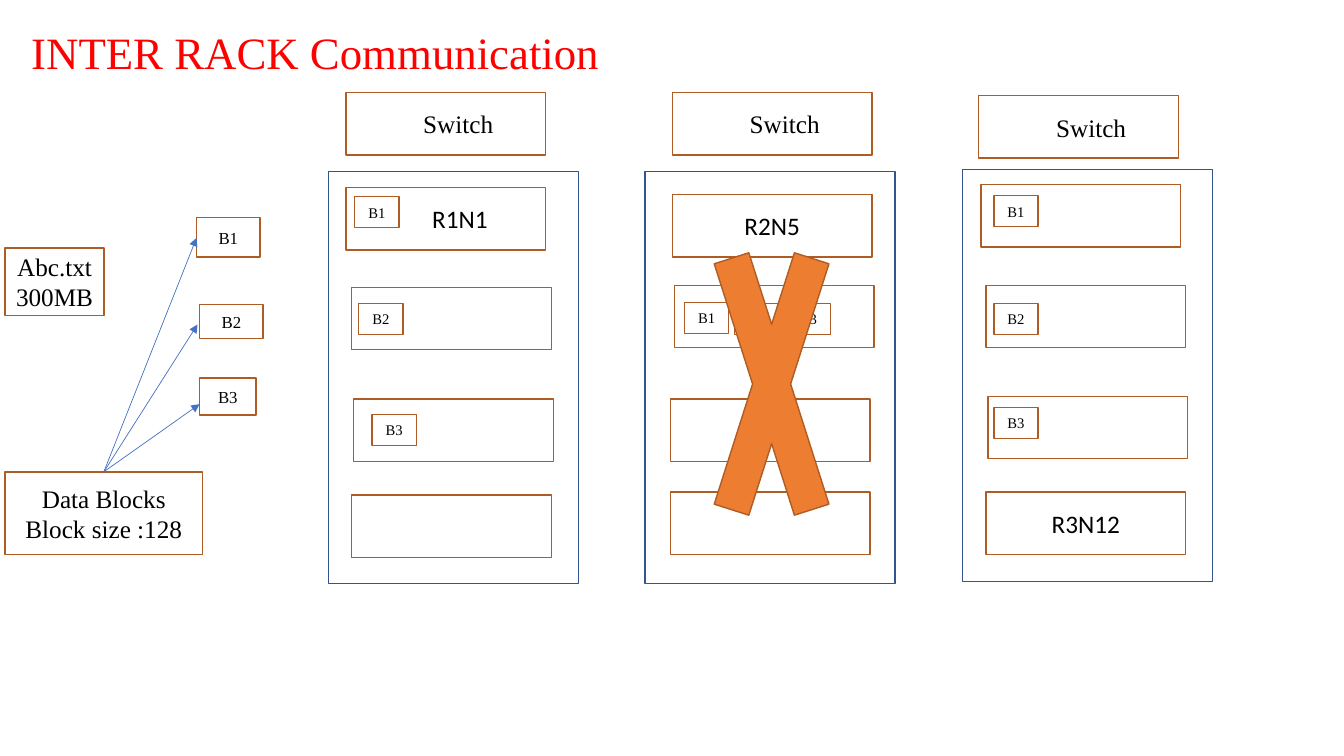
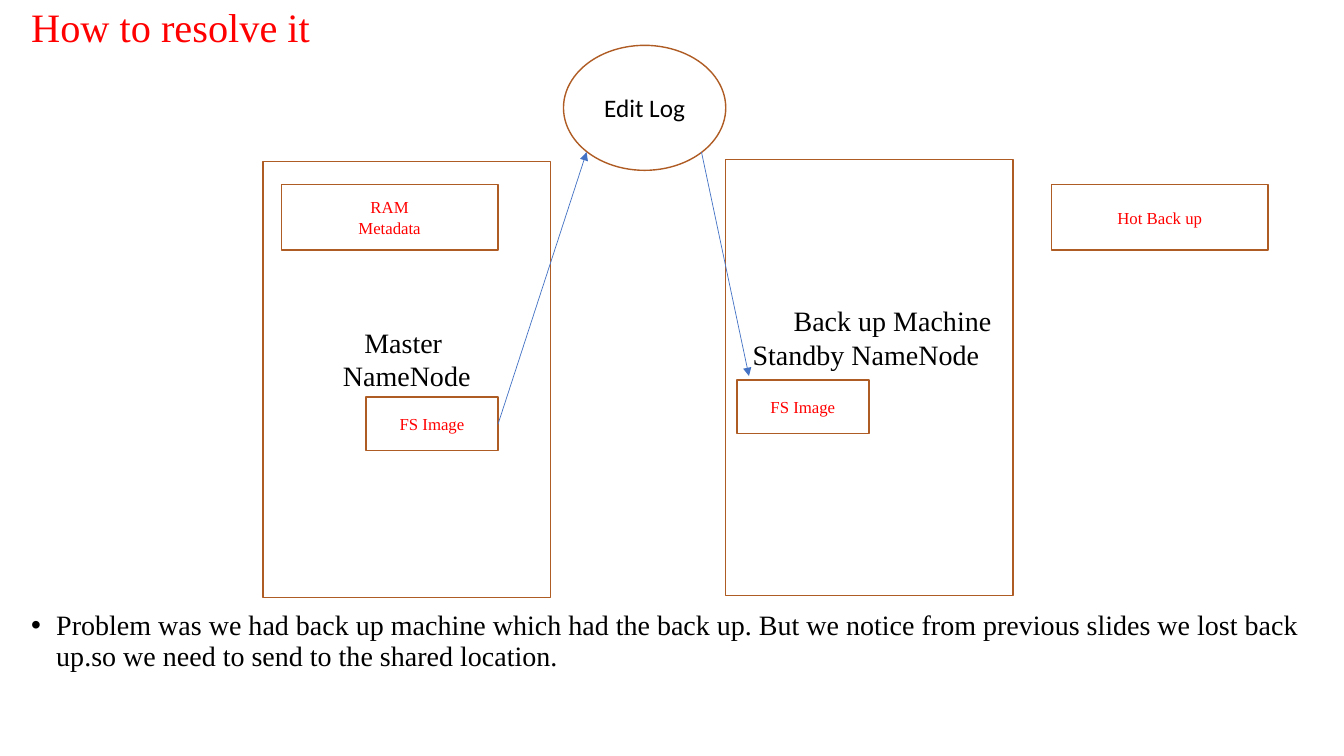
from lxml.etree import SubElement
from pptx import Presentation
from pptx.dml.color import RGBColor
from pptx.enum.shapes import MSO_CONNECTOR, MSO_SHAPE
from pptx.enum.text import MSO_ANCHOR, MSO_AUTO_SIZE, PP_ALIGN
from pptx.oxml.ns import qn
from pptx.util import Pt

COLOURS = {
    "paper": "FFFFFF", "text": "000000", "accent": "FF0000", "rack": "325491",
    "border": "AF5C24", "arrow": "4472C4", "cross": "ED7D31",
}
SERIF, SANS = "Times New Roman", "Calibri"
NODE_SIZE = (142.6, 44.6)
BLOCK_SIZE = (31.7, 22.3)


def colour(name):
    return RGBColor.from_string(COLOURS[name])


class Slides:
    def __init__(self):
        self.deck = Presentation()
        self.deck.slide_width, self.deck.slide_height = Pt(960), Pt(540)
        self.page = None

    def add_lines(self, frame, lines, size, ink="text", font=SERIF,
                  align=PP_ALIGN.CENTER, spacing=None, indent=0):
        """Fill a frame; a line is a string or a (string, indent) pair."""
        frame.word_wrap = True
        frame.auto_size = MSO_AUTO_SIZE.NONE
        for number, line in enumerate(lines):
            words, shift = line if isinstance(line, tuple) else (line, indent)
            para = frame.paragraphs[0] if number == 0 else frame.add_paragraph()
            for name, value in {"alignment": align, "line_spacing": spacing}.items():
                setattr(para, name, value)
            if shift:
                para._p.get_or_add_pPr().set("marL", str(Pt(shift)))
            span = para.add_run()
            span.text = words
            for name, value in {"size": Pt(size), "name": font}.items():
                setattr(span.font, name, value)
            span.font.color.rgb = colour(ink)

    def new_page(self, title, top, height, size):
        self.page = self.deck.slides.add_slide(self.deck.slide_layouts[5])
        holder = self.page.shapes.title
        place = {"left": 15.1, "top": top, "width": 924.5, "height": height}
        for name, value in place.items():
            setattr(holder, name, Pt(value))
        holder.text_frame.vertical_anchor = MSO_ANCHOR.MIDDLE
        self.add_lines(holder.text_frame, [title], size, "accent",
                       align=PP_ALIGN.LEFT, spacing=0.9)

    def box(self, left, top, width, height, lines=(), size=18, kind=MSO_SHAPE.RECTANGLE,
            fill="paper", border="border", text_top=None, **text_format):
        """Draw a shape; text_top puts its text that far below the top edge."""
        shape = self.page.shapes.add_shape(
            kind, Pt(left), Pt(top), Pt(width), Pt(height))
        shape.shadow.inherit = False
        shape.fill.solid()
        shape.fill.fore_color.rgb = colour(fill)
        shape.line.color.rgb = colour(border)
        shape.line.width = Pt(1)
        frame = shape.text_frame
        frame.vertical_anchor = MSO_ANCHOR.MIDDLE
        if text_top is not None:
            frame.vertical_anchor = MSO_ANCHOR.TOP
            frame.margin_top = Pt(text_top)
        self.add_lines(frame, lines, size, **text_format)

    def arrow(self, start, end):
        line = self.page.shapes.add_connector(
            MSO_CONNECTOR.STRAIGHT, *(Pt(value) for value in start + end))
        line.line.color.rgb = colour("arrow")
        line.line.width = Pt(0.5)
        properties = line._element.spPr
        SubElement(properties.find(qn("a:ln")), qn("a:tailEnd"), type="triangle")
        SubElement(properties, qn("a:effectLst"))

    def bullet(self, left, top, width, height, words):
        frame = self.page.shapes.add_textbox(
            Pt(left), Pt(top), Pt(width), Pt(height)).text_frame
        properties = frame.paragraphs[0]._p.get_or_add_pPr()
        properties.set("marL", str(Pt(18)))
        properties.set("indent", str(-Pt(18)))
        self.add_lines(frame, [words], 20, align=PP_ALIGN.LEFT, spacing=0.9)
        SubElement(properties, qn("a:buFont"), typeface="Arial")
        SubElement(properties, qn("a:buChar"), char="•")

    def rack(self, left, top, switch, nodes, blocks):
        """Draw a rack; nodes are (left, top, label, indent), blocks (left, top, label)."""
        self.box(left, top, 178.6, 294.5, border="rack")
        for x, y, label, indent in nodes:
            self.box(x, y, *NODE_SIZE, [label] if label else [], font=SANS, indent=indent)
        for x, y, label in blocks:
            self.box(x, y, *BLOCK_SIZE, [label] if label else [], size=10.5)
        self.box(*switch, *NODE_SIZE, ["Switch "], indent=22.5)


def inter_rack(slides):
    slides.new_page("INTER RACK Communication", 10.1, 59, 32)
    slides.box(3.6, 177.1, 70.8, 48.2, ["Abc.txt", "300MB"])
    slides.box(3.6, 337, 141.1, 59, ["Data Blocks", "Block size :128"])
    file_blocks = [
        ("B1", (140.4, 155.5, 45.4, 28.1), (140.4, 169.9)),
        ("B2", (142.6, 217.4, 45.4, 24.5), (141.1, 231.8)),
        ("B3", (142.6, 270, 40.3, 26.6), (142.6, 288.7)),
    ]
    for label, place, target in file_blocks:
        slides.box(*place, [label], size=12)
        slides.arrow((74.2, 337), target)

    slides.rack(
        234.7, 122.4, (247, 66.2),
        [(247, 133.9, "R1N1", 20.3), (251.3, 205.2, "", 0),
         (252.7, 285.1, "", 0), (251.3, 353.5, "", 0)],
        [(253.4, 140.4, "B1"), (256.3, 216.7, "B2"), (265.7, 295.9, "B3")])
    slides.rack(
        460.8, 122.4, (480.2, 66.2),
        [(480.2, 139, "R2N5", 0), (481.7, 203.8, "", 0),
         (478.8, 285.1, "", 0), (478.8, 351.4, "", 0)],
        [(488.9, 216, "B1"), (524.9, 216.7, ""), (561.6, 216.7, "B3")])
    slides.rack(
        687.6, 121, (699.1, 68.4),
        [(700.6, 131.8, "", 0), (704.2, 203.8, "", 0),
         (705.6, 283, "", 0), (704.2, 351.4, "R3N12", 0)],
        [(709.9, 139.7, "B1"), (709.9, 216.7, "B2"), (709.9, 290.9, "B3")])
    slides.box(496.1, 101.5, 110.2, 345.6, kind=MSO_SHAPE.MATH_MULTIPLY, fill="cross")


def resolution(slides):
    slides.new_page("How to resolve it", 10.1, 22.3, 28.8)
    slides.bullet(15.1, 433.4, 924.5, 96.5,
                  "Problem was we had back up machine which had the back up. But we notice "
                  "from previous slides we lost back up.so we need to send to the shared "
                  "location.")
    machines = [
        (187.9, 115.2, 117, ["Master ", "NameNode"]),
        (518.4, 113.8, 103, [("Back up Machine", 33), "Standby NameNode "]),
    ]
    for left, top, text_top, lines in machines:
        slides.box(left, top, 205.2, 311.8, lines, size=20, text_top=text_top)
    parts = [
        (200.9, 131.8, 154.8, 46.8, ["RAM", "Metadata"]),
        (751, 131.8, 154.8, 46.8, ["Hot Back up"]),
        (526.3, 271.4, 94.3, 38.2, ["FS Image"]),
        (261.4, 283.7, 94.3, 38.2, ["FS Image"]),
    ]
    for part in parts:
        slides.box(*part, size=12, ink="accent")
    slides.box(402.5, 32.4, 115.9, 89.3, ["Edit Log"], font=SANS,
               kind=MSO_SHAPE.FLOWCHART_CONNECTOR)
    slides.arrow((501.1, 108.7), (535, 268.6))
    slides.arrow((355.7, 303.1), (419, 108.7))


def main():
    slides = Slides()
    inter_rack(slides)
    resolution(slides)
    slides.deck.save("out.pptx")


if __name__ == "__main__":
    main()
